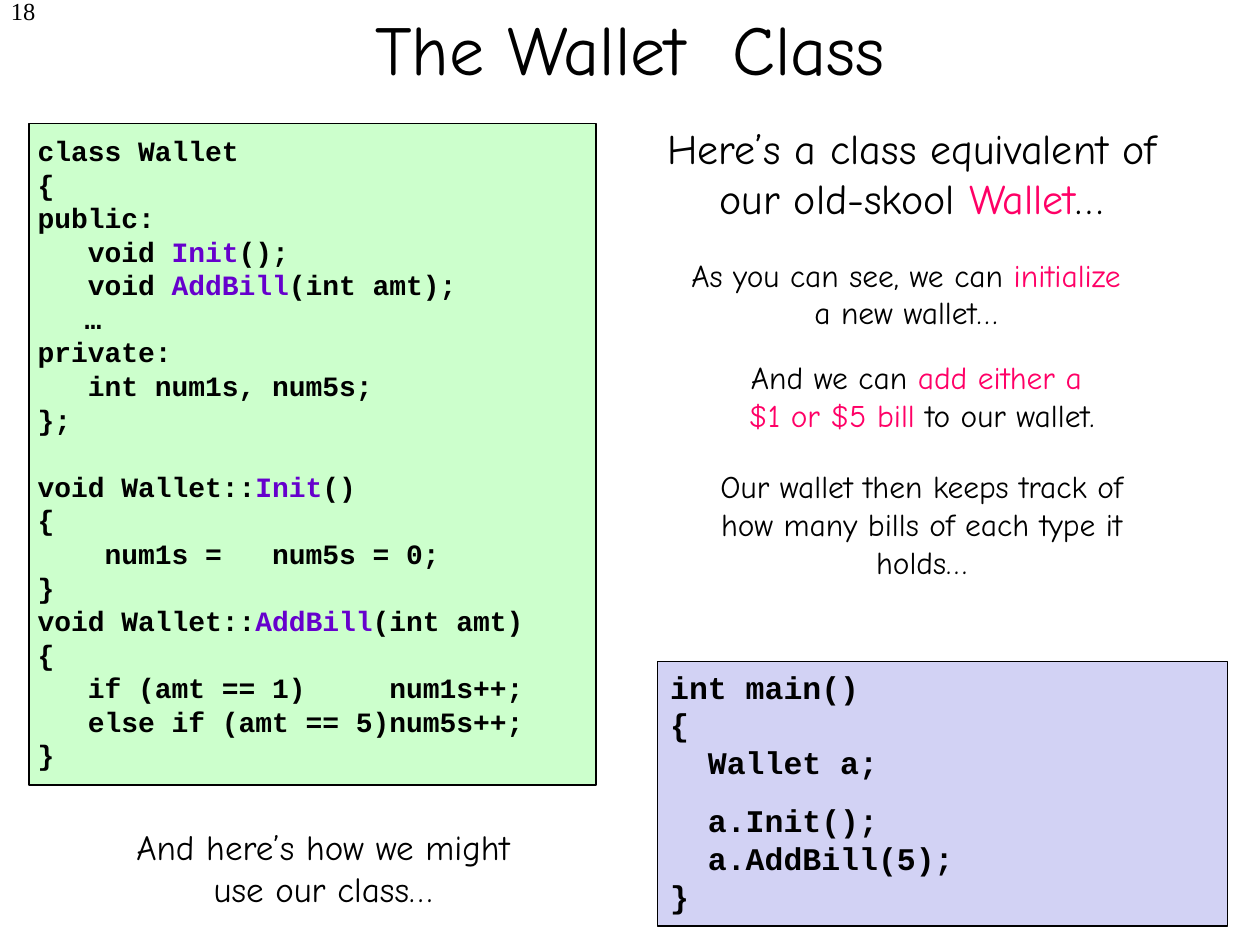
from lxml import etree
from pptx import Presentation
from pptx import util as u
from pptx.dml.color import RGBColor
from pptx.enum import shapes, text
from pptx.oxml import ns

LEFT, MID, RIGHT = text.PP_ALIGN.LEFT, text.PP_ALIGN.CENTER, text.PP_ALIGN.RIGHT
COMIC, MONO, TIMES = "Comic Neue", "Courier New", "Times New Roman"


def tint(code):
    return RGBColor.from_string(code)


def write(frame, body, size, face, align, accent="FF0066", gap=0):
    space = False
    lines = body.split("\n")
    first = True
    for line in lines:
        if not line:
            space = True
            continue
        para = frame.paragraphs[0] if first else frame.add_paragraph()
        first = False
        para.alignment = align
        if space:
            para.space_before = u.Pt(gap)
            space = False
        if "\t" in line:
            tabs = etree.SubElement(para._p.get_or_add_pPr(), ns.qn("a:tabLst"))
            etree.SubElement(tabs, ns.qn("a:tab"), pos=str(u.Inches(0.24)), algn="l")
        for row, part in enumerate(line.split("|")):
            if row:
                para.add_line_break()
            for turn, word in enumerate(part.split("*")):
                if not word:
                    continue
                run = para.add_run()
                run.text = word
                look = {"size": u.Pt(size), "name": face, "bold": face == MONO}
                for key, val in look.items():
                    setattr(run.font, key, val)
                run.font.color.rgb = tint(accent if turn % 2 else "000000")


wallet = """class Wallet
{
public:
   void *Init*();
   void *AddBill*(int amt);
\t …
private:
   int num1s, num5s;
};

void Wallet::*Init*()
{
    num1s =   num5s = 0;
}
void Wallet::*AddBill*(int amt)
{
   if (amt == 1)     num1s++;
   else if (amt == 5)num5s++;
}"""

main = """int main()
{
  Wallet a;

  a.Init();
  a.AddBill(5);
}"""

deck = Presentation()
deck.slide_width, deck.slide_height = u.Inches(10), u.Inches(7.5)
slide = deck.slides.add_slide(deck.slide_layouts[6])

panels = []
for spot, fill in [
    ((0.23, 0.98, 4.5, 5.25), "CCFFCC"),
    ((5.22, 5.25, 4.52, 2.1), "D2D2F4"),
]:
    panel = slide.shapes.add_shape(shapes.MSO_SHAPE.RECTANGLE, *map(u.Inches, spot))
    panel.shadow.inherit = False
    panel.fill.solid()
    panel.fill.fore_color.rgb = tint(fill)
    panel.line.color.rgb = tint("000000")
    panel.line.width = u.Pt(0.75)
    panels.append(panel)

frame = panels[1].text_frame
frame.vertical_anchor = text.MSO_ANCHOR.TOP
write(frame, main, 18, MONO, LEFT, gap=11.4)

code = slide.shapes.add_textbox(*map(u.Inches, (0.2, 1.01, 5, 5.49))).text_frame
code.word_wrap = True
write(code, wallet, 16, MONO, LEFT, "6600CC", 19.2)

notes = [
    ((0.75, -0.25, 8.5, 1.25), "The Wallet  Class", 40, COMIC, MID),
    ((5, 0.92, 4.47, 0.91), "Here’s a class equivalent of|our old-skool *Wallet*…", 24, COMIC, MID),
    ((5.3, 1.98, 3.78, 0.71), "As you can see, we can *initialize* a new wallet…", 18, COMIC, MID),
    ((5.05, 2.79, 4.53, 0.71), "And we can *add either a *|*$1 or $5 bill* to our wallet.", 18, COMIC, MID),
    ((5.5, 3.66, 3.63, 1.01), "Our wallet then keeps track of how many bills of each type it holds…", 18, COMIC, MID),
    ((0.75, 6.5, 3.63, 0.77), "And here’s how we might use our class…", 20, COMIC, MID),
    ((0, -0.08, 0.38, 0.5), "18", 14, TIMES, RIGHT),
]
for spot, body, size, face, align in notes:
    frame = slide.shapes.add_textbox(*map(u.Inches, spot)).text_frame
    frame.word_wrap = True
    if size == 40:
        frame.vertical_anchor = text.MSO_ANCHOR.MIDDLE
    if face == TIMES:
        frame.margin_left = 0
    write(frame, body, size, face, align)

deck.save("out.pptx")
